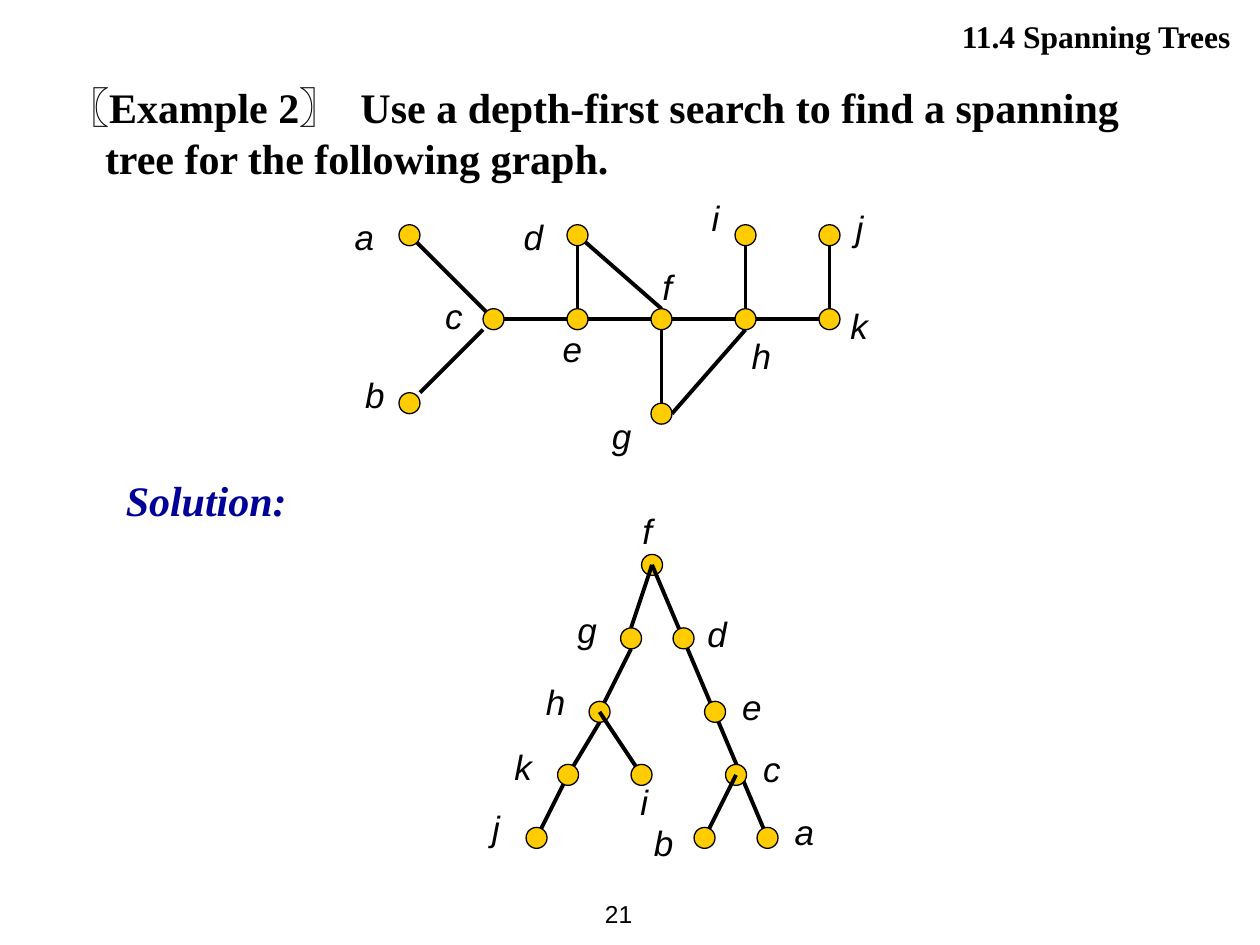
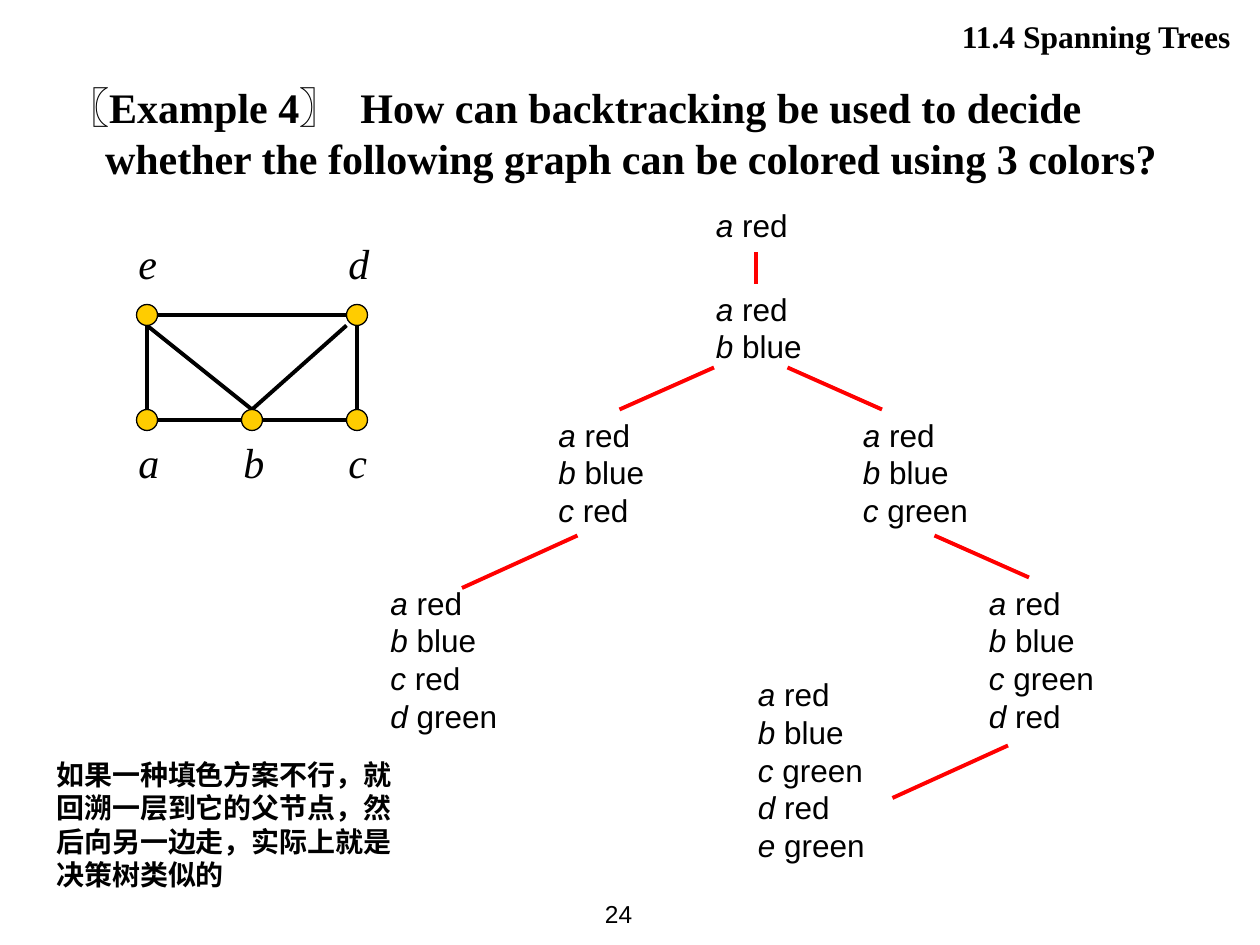
from lxml import etree
from pptx import Presentation
from pptx.dml.color import RGBColor
from pptx.enum.shapes import MSO_CONNECTOR, MSO_SHAPE
from pptx.enum.text import MSO_ANCHOR, MSO_AUTO_SIZE, PP_ALIGN
from pptx.oxml.ns import qn
from pptx.util import Pt

STRAIGHT = MSO_CONNECTOR.STRAIGHT
OVAL = MSO_SHAPE.OVAL
TOP, MIDDLE = MSO_ANCHOR.TOP, MSO_ANCHOR.MIDDLE
NO_FIT = MSO_AUTO_SIZE.NONE
LEFT, RIGHT = PP_ALIGN.LEFT, PP_ALIGN.RIGHT

BLACK = RGBColor(0x00, 0x00, 0x00)
WHITE = RGBColor(0xFF, 0xFF, 0xFF)
NAVY = RGBColor(0x00, 0x00, 0x99)
RED = RGBColor(0xFF, 0x00, 0x00)
GOLD = RGBColor(0xFF, 0xCC, 0x00)

SERIF = "Times New Roman"
SANS = "Arial"
CHINESE = "Noto Sans CJK SC"

EMU_PER_PX = 7620
RADIUS = 10
SIDES = {"": (0, 0), "N": (0, -1), "S": (0, 1), "E": (1, 0), "W": (-1, 0),
         "NE": (1, -1), "SW": (-1, 1)}

GRAPH_NODES = {
    "a": (0, 0, -64, -25), "b": (0, 160, -54, -34), "c": (80, 80, -58, -29),
    "d": (160, 0, -63, -25), "e": (160, 80, -26, 2), "f": (240, 80, -11, -57),
    "g": (240, 170, -59, -5), "h": (320, 80, -6, 9), "i": (320, 0, -44, -43),
    "j": (400, 0, 13, -33), "k": (400, 80, 8, -20),
}
GRAPH_STAGES = [(
    ["a c", "bNE cSW", "cE eW", "eE fW", "fE hW", "hE kW", "iS hN", "jS kN",
     "fS gN", "gE hS", "dS eN", "d fN"],
    "abcdefghijk",
)]

SEARCH_TREE_NODES = {
    "f": (111, 0, -21, -59), "g": (91, 70, -63, -34), "h": (61, 140, -63, -36),
    "k": (31, 200, -63, -34), "j": (1, 260, -54, -36), "i": (101, 200, -13, -1),
    "d": (141, 70, 11, -31), "e": (171, 140, 14, -31), "c": (191, 200, 14, -32),
    "a": (221, 260, 14, -32), "b": (161, 260, -60, -22),
}
SEARCH_TREE_STAGES = [
    ([], "f"),
    (["f gN", "gS h", "hS k", "k j"], "ghkj"),
    (["h i"], "i"),
    (["f a"], "deca"),
    (["c b"], "b"),
]

COLORING_NODES = {
    "e": (0, 0, -20, -80), "d": (200, 0, -20, -80),
    "a": (0, 100, -20, 10), "b": (100, 100, -20, 10), "c": (200, 100, -20, 10),
}
COLORING_STAGES = [(
    ["eS aN", "aE bW", "bE cW", "cN dS", "eE dW", "eS bN", "bN dSW"],
    "edabc",
)]

COLORING_STATES = [
    (310, 0, 100, "red"),
    (310, 80, 130, "red blue"),
    (160, 200, 130, "red blue red"),
    (0, 360, 150, "red blue red green"),
    (450, 200, 150, "red blue green"),
    (570, 360, 150, "red blue green red"),
    (350, 447, 150, "red blue green red green"),
]
COLORING_BRANCHES = [
    (360, 50, 360, 80), (320, 160, 230, 200), (390, 160, 480, 200),
    (190, 320, 80, 370), (530, 320, 620, 360), (600, 520, 490, 570),
]


def px(length):
    return int(length * EMU_PER_PX)


def write_text(frame, paragraphs, size, font=SANS, color=BLACK, bold=False,
               italic=False, align=LEFT, anchor=TOP, spacing=None):
    frame.word_wrap = True
    frame.auto_size = NO_FIT
    frame.vertical_anchor = anchor
    for index, pieces in enumerate(paragraphs):
        paragraph = frame.add_paragraph() if index else frame.paragraphs[0]
        paragraph.alignment = align
        paragraph.space_before = Pt(0)
        if spacing:
            paragraph.line_spacing = Pt(spacing)
        for text, slanted in pieces:
            run = paragraph.add_run()
            run.text = text
            run.font.name = font
            run.font.size = Pt(size)
            run.font.bold = bold
            run.font.italic = italic or slanted
            run.font.color.rgb = color
            if font == CHINESE:
                etree.SubElement(run.font._element, qn("a:ea"), typeface=font)


def add_text(shapes, box, paragraphs, **text_format):
    if isinstance(paragraphs, str):
        paragraphs = [[(paragraphs, False)]]
    frame = shapes.add_textbox(*map(px, box)).text_frame
    write_text(frame, paragraphs, **text_format)


def add_line(shapes, ends, color=BLACK):
    line = shapes.add_connector(STRAIGHT, *map(px, ends))
    line.line.color.rgb = color
    line.line.width = Pt(2.25)
    etree.SubElement(line._element.spPr, qn("a:effectLst"))


def add_node(shapes, x, y):
    node = shapes.add_shape(OVAL, px(x - RADIUS), px(y - RADIUS),
                            px(2 * RADIUS), px(2 * RADIUS))
    node.shadow.inherit = False
    node.fill.solid()
    node.fill.fore_color.rgb = GOLD
    node.line.color.rgb = BLACK
    node.line.width = Pt(0.75)


def draw_graph(slide, origin, nodes, stages, label_size, **label_format):
    left, top = origin

    def locate(end):
        x, y = nodes[end[0]][:2]
        across, down = SIDES[end[1:]]
        return left + x + across * RADIUS, top + y + down * RADIUS

    for edges, names in stages:
        shapes = slide.shapes.add_group_shape().shapes
        for edge in edges:
            start, finish = edge.split()
            add_line(shapes, locate(start) + locate(finish))
        for name in names:
            x, y = locate(name)
            label_x, label_y = nodes[name][2:]
            add_node(shapes, x, y)
            add_text(shapes, (x + label_x, y + label_y, *label_size), name,
                     italic=True, **label_format)


def draw_decision_tree(slide, origin):
    left, top = origin
    for x, y, width, colors in COLORING_STATES:
        choices = [[(vertex, True), (" " + color, False)]
                   for vertex, color in zip("abcde", colors.split())]
        height = 12 + 36 * len(choices)
        add_text(slide.shapes, (left + x, top + y, width, height), choices, size=18)
    for x1, y1, x2, y2 in COLORING_BRANCHES:
        add_line(slide.shapes, (left + x1, top + y1, left + x2, top + y2), RED)


def place(placeholder, box):
    placeholder.left, placeholder.top, placeholder.width, placeholder.height = map(px, box)
    return placeholder.text_frame


def add_example_slide(deck, question, page):
    slide = deck.slides.add_slide(deck.slide_layouts[1])
    slide.background.fill.solid()
    slide.background.fill.fore_color.rgb = WHITE

    heading = place(slide.shapes.title, (478, 10, 713, 48))
    heading.margin_right = px(19)
    write_text(heading, [[("11.4 Spanning Trees", False)]], size=18, font=SERIF,
               bold=True, align=RIGHT)

    body = place(slide.placeholders[1], (42, 72, 1098, 95))
    write_text(body, [[(question, False)]], size=24, font=SERIF, bold=True)
    properties = body.paragraphs[0]._p.get_or_add_pPr()
    properties.set("marL", str(px(46)))
    properties.set("indent", str(px(-36)))
    etree.SubElement(properties, qn("a:buNone"))

    add_text(slide.shapes, (534, 840, 80, 60), page, size=14, align=RIGHT, anchor=MIDDLE)
    return slide


def add_depth_first_slide(deck):
    slide = add_example_slide(
        deck,
        "〖Example 2〗  Use a depth-first search to find a spanning tree "
        "for the following graph.",
        "21")
    draw_graph(slide, (390, 224), GRAPH_NODES, GRAPH_STAGES, (40, 52), size=20)
    add_text(slide.shapes, (108, 446, 1020, 60), "Solution:", size=24, font=SERIF,
             color=NAVY, bold=True, italic=True)
    draw_graph(slide, (510, 538), SEARCH_TREE_NODES, SEARCH_TREE_STAGES, (40, 52), size=20)


def add_backtracking_slide(deck):
    slide = add_example_slide(
        deck,
        "〖Example 4〗  How can backtracking be used to decide whether "
        "the following graph can be colored using 3 colors?",
        "24")
    draw_decision_tree(slide, (360, 190))
    draw_graph(slide, (140, 300), COLORING_NODES, COLORING_STAGES, (50, 60),
               size=24, font=SERIF)
    add_text(slide.shapes, (42, 716, 367, 142),
             "如果一种填色方案不行，就回溯一层到它的父节点，然后向另一边走，实际上就是决策树类似的",
             size=16, font=CHINESE, bold=True, spacing=19)


def main():
    deck = Presentation()
    deck.slide_width, deck.slide_height = px(1200), px(900)
    add_depth_first_slide(deck)
    add_backtracking_slide(deck)
    deck.save("out.pptx")


if __name__ == "__main__":
    main()
